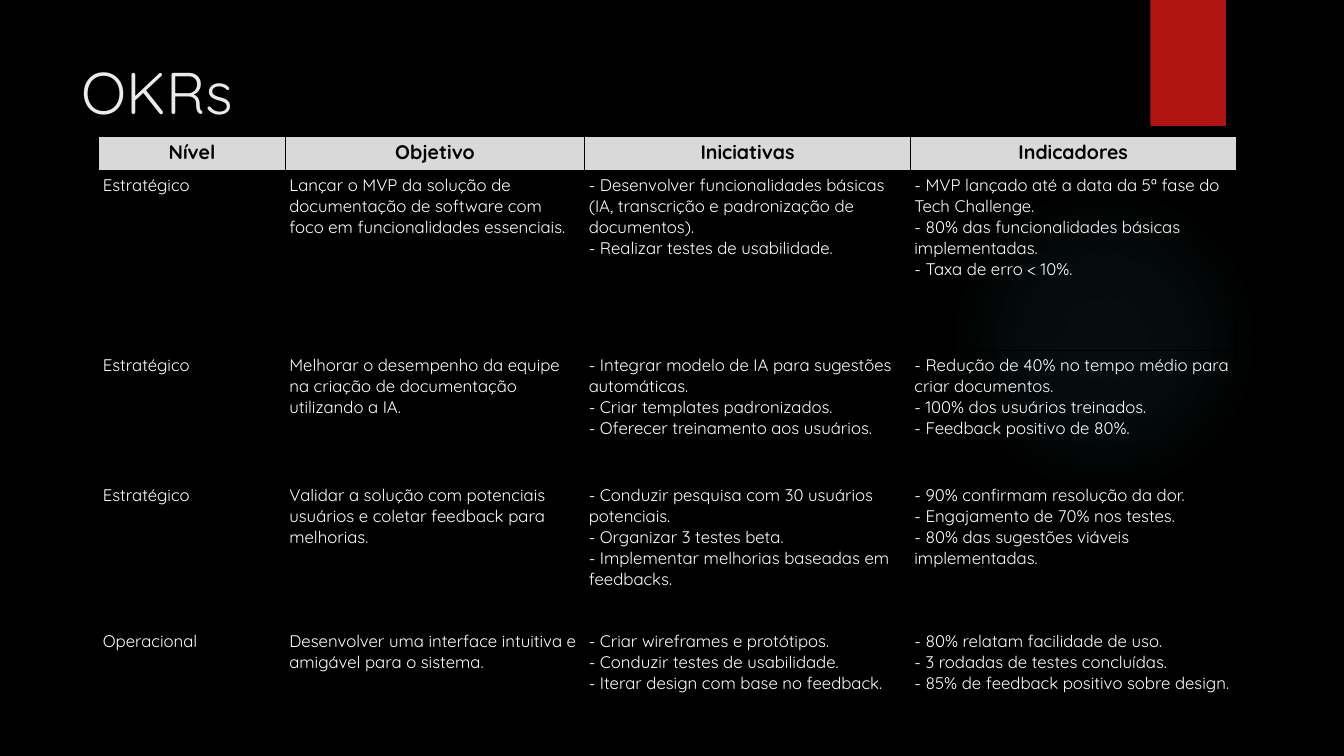
"""Build the OKRs slide: a title, a red tab, a soft glow and the OKR table."""
from typing import NamedTuple

import pptx
import pptx.dml.color
import pptx.enum.shapes
import pptx.enum.text
import pptx.oxml
import pptx.oxml.ns
import pptx.util

Inches = pptx.util.Inches
Pt = pptx.util.Pt
MSO_SHAPE = pptx.enum.shapes.MSO_SHAPE
PP_ALIGN = pptx.enum.text.PP_ALIGN

FONT = "Quicksand"
COLORS = {
    "background": "000000",
    "border": "000000",
    "header_fill": "D9D9D9",
    "header_text": "000000",
    "body_text": "FFFFFF",
    "title": "EBEBEB",
    "tab": "B01513",
    "glow": "50B9C1",
}
GLOW_STOPS = ((0, 7), (36, 6), (69, 0))
COLUMN_WIDTHS = (1.85, 2.97, 3.23, 3.23)
HEADER_HEIGHT = 0.34
HEADINGS = ("Nível", "Objetivo", "Iniciativas", "Indicadores")
CELL_MARGIN = 0.04


class Okr(NamedTuple):
    """One row of the table."""
    height: float
    level: str
    objective: str
    initiatives: tuple[str, ...]
    indicators: tuple[str, ...]


class TextStyle(NamedTuple):
    """Look of a piece of text."""
    size: float
    color: str
    bold: bool = False
    align: PP_ALIGN = PP_ALIGN.LEFT


TITLE_STYLE = TextStyle(42, "title")
HEADER_STYLE = TextStyle(14, "header_text", True, PP_ALIGN.CENTER)
BODY_STYLE = TextStyle(12, "body_text")

OKRS = (
    Okr(1.79, "Estratégico",
        "Lançar o MVP da solução de documentação de software com foco em funcionalidades essenciais.",
        ("- Desenvolver funcionalidades básicas (IA, transcrição e padronização de documentos).",
         "- Realizar testes de usabilidade."),
        ("- MVP lançado até a data da 5ª fase do Tech Challenge.",
         "- 80% das funcionalidades básicas implementadas.",
         "- Taxa de erro < 10%.")),
    Okr(1.29, "Estratégico",
        "Melhorar o desempenho da equipe na criação de documentação utilizando a IA.",
        ("- Integrar modelo de IA para sugestões automáticas.",
         "- Criar templates padronizados.",
         "- Oferecer treinamento aos usuários."),
        ("- Redução de 40% no tempo médio para criar documentos.",
         "- 100% dos usuários treinados.",
         "- Feedback positivo de 80%.")),
    Okr(1.45, "Estratégico",
        "Validar a solução com potenciais usuários e coletar feedback para melhorias.",
        ("- Conduzir pesquisa com 30 usuários potenciais.",
         "- Organizar 3 testes beta.",
         "- Implementar melhorias baseadas em feedbacks."),
        ("- 90% confirmam resolução da dor.",
         "- Engajamento de 70% nos testes.",
         "- 80% das sugestões viáveis implementadas.")),
    Okr(0.91, "Operacional",
        "Desenvolver uma interface intuitiva e amigável para o sistema.",
        ("- Criar wireframes e protótipos.",
         "- Conduzir testes de usabilidade.",
         "- Iterar design com base no feedback."),
        ("- 80% relatam facilidade de uso.",
         "- 3 rodadas de testes concluídas.",
         "- 85% de feedback positivo sobre design.")),
)


def rgb(name: str) -> pptx.dml.color.RGBColor:
    """Return the named colour."""
    return pptx.dml.color.RGBColor.from_string(COLORS[name])


def write(frame, lines: tuple[str, ...], style: TextStyle) -> None:
    """Write one paragraph per line."""
    for index, line in enumerate(lines):
        paragraph = frame.add_paragraph() if index else frame.paragraphs[0]
        paragraph.alignment = style.align
        run = paragraph.add_run()
        run.text = line
        run.font.name = FONT
        run.font.size = Pt(style.size)
        run.font.bold = style.bold
        run.font.color.rgb = rgb(style.color)


def add_plain_shape(slide, kind: MSO_SHAPE, left: float, top: float, width: float, height: float):
    """Add a shape without outline or shadow."""
    shape = slide.shapes.add_shape(kind, Inches(left), Inches(top), Inches(width), Inches(height))
    shape.shadow.inherit = False
    shape.line.fill.background()
    return shape


def add_glow(slide) -> None:
    """Add the round glow that fades outwards."""
    glow = add_plain_shape(slide, MSO_SHAPE.OVAL, 9.41, 1.83, 3.08, 3.08)
    glow.fill.background()
    stops = "".join(
        f'<a:gs pos="{position * 1000}"><a:srgbClr val="{COLORS["glow"]}">'
        f'<a:alpha val="{opacity * 1000}"/></a:srgbClr></a:gs>'
        for position, opacity in GLOW_STOPS
    )
    gradient = pptx.oxml.parse_xml(
        f'<a:gradFill {pptx.oxml.ns.nsdecls("a")} rotWithShape="1"><a:gsLst>{stops}</a:gsLst>'
        '<a:path path="circle"><a:fillToRect l="50000" t="50000" r="50000" b="50000"/>'
        '</a:path></a:gradFill>'
    )
    properties = glow.element.spPr
    properties.replace(properties.find(pptx.oxml.ns.qn("a:noFill")), gradient)


def fill_cell(cell, lines: tuple[str, ...], style: TextStyle, fill: str | None = None) -> None:
    """Set the borders, margins, fill and text of a cell."""
    properties = cell._tc.get_or_add_tcPr()
    for side in "LRTB":
        properties.append(pptx.oxml.parse_xml(
            f'<a:ln{side} {pptx.oxml.ns.nsdecls("a")} w="{Pt(0.5)}"><a:solidFill>'
            f'<a:srgbClr val="{COLORS["border"]}"/></a:solidFill></a:ln{side}>'
        ))
    cell.margin_left = cell.margin_right = Inches(CELL_MARGIN)
    cell.margin_top = cell.margin_bottom = Inches(CELL_MARGIN)
    if fill:
        cell.fill.solid()
        cell.fill.fore_color.rgb = rgb(fill)
    else:
        cell.fill.background()
    write(cell.text_frame, lines, style)


def add_okr_table(slide) -> None:
    """Add the table of objectives and key results."""
    heights = (HEADER_HEIGHT, *(okr.height for okr in OKRS))
    table = slide.shapes.add_table(
        len(heights), len(HEADINGS), Inches(0.98), Inches(1.35),
        Inches(sum(COLUMN_WIDTHS)), Inches(sum(heights)),
    ).table
    table.horz_banding = False
    for column, width in zip(table.columns, COLUMN_WIDTHS):
        column.width = Inches(width)
    for row, height in zip(table.rows, heights):
        row.height = Inches(height)
    for index, heading in enumerate(HEADINGS):
        fill_cell(table.cell(0, index), (heading,), HEADER_STYLE, "header_fill")
    for row_index, okr in enumerate(OKRS, start=1):
        contents = ((okr.level,), (okr.objective,), okr.initiatives, okr.indicators)
        for column_index, lines in enumerate(contents):
            fill_cell(table.cell(row_index, column_index), lines, BODY_STYLE)


def main() -> None:
    """Build and save the presentation."""
    presentation = pptx.Presentation()
    presentation.slide_width = Inches(13.33)
    presentation.slide_height = Inches(7.5)
    slide = presentation.slides.add_slide(presentation.slide_layouts[5])
    slide.background.fill.solid()
    slide.background.fill.fore_color.rgb = rgb("background")

    add_glow(slide)
    tab = add_plain_shape(slide, MSO_SHAPE.RECTANGLE, 11.41, 0, 0.75, 1.25)
    tab.fill.solid()
    tab.fill.fore_color.rgb = rgb("tab")

    title = slide.shapes.title
    title.left, title.top = Inches(0.71), Inches(0.5)
    title.width, title.height = Inches(10.29), Inches(1.53)
    title.text_frame.vertical_anchor = pptx.enum.text.MSO_ANCHOR.TOP
    write(title.text_frame, ("OKRs",), TITLE_STYLE)

    add_okr_table(slide)
    presentation.save("out.pptx")


if __name__ == "__main__":
    main()
